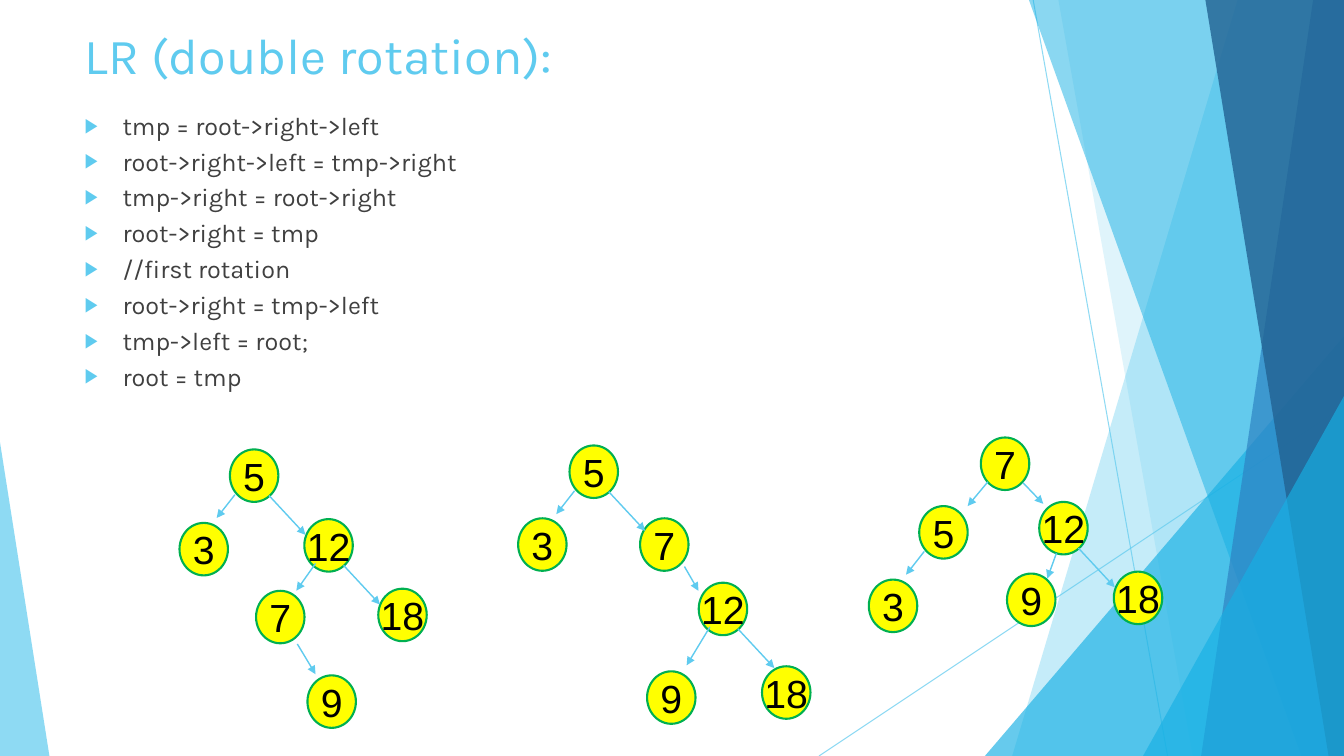
from dataclasses import dataclass

from lxml import etree
from pptx import Presentation
from pptx import util as u
from pptx.dml import color as dml
from pptx.enum import shapes, text
from pptx.oxml import ns

Pt = u.Pt


@dataclass(frozen=True)
class Theme:
    sky: str = "5FCBEF"
    aqua: str = "17B0E4"
    blue: str = "2E83C3"
    navy: str = "226292"
    ink: str = "404040"
    black: str = "000000"
    gold: str = "FFFF00"
    green: str = "00B050"
    face: str = "Karla"
    plain: str = "Arial"
    head: int = 36
    code: int = 18
    key: int = 28


T = Theme()
WIDE, HIGH = 960, 540
NODE = (34.6, 37.5)

CODE = [
    "tmp = root->right->left",
    "root->right->left = tmp->right",
    "tmp->right = root->right",
    "root->right = tmp",
    "//first rotation",
    "root->right = tmp->left",
    "tmp->left = root;",
    "root = tmp",
]

LEFT = (3.6, 32.4, -13, 16.6)
RIGHT = (28, 33, 26, 28)
TREES = [
    ((128.2, 321),
     {5: (36, 0), 3: (0, 52.5), 12: (89.2, 49.8), 18: (142, 99.5),
      7: (54.7, 101), 9: (91.4, 161.4)},
     [(5, RIGHT), (12, RIGHT), (12, (8, 31.7, -13.7, 19.4)), (5, LEFT),
      (7, (29.5, 38, 13, 21.6))]),
    ((370.1, 318.2),
     {5: (36.7, 0), 3: (0, 52), 12: (129, 98), 18: (174.2, 157.7),
      7: (87.1, 52), 9: (92.1, 161.3)},
     [(5, RIGHT), (12, RIGHT), (12, (8, 31.6, -16.6, 27.4)), (5, LEFT),
      (7, (31.7, 34.5, 10, 17.3))]),
    ((620.6, 312.5),
     {5: (36, 49), 3: (0, 101.5), 12: (121.7, 46), 18: (175, 95.8),
      7: (80, 0), 9: (98.7, 97.2)},
     [(12, RIGHT), (12, (12.3, 36.7, -6.5, 18)), (5, LEFT),
      (7, (30.2, 32.4, 14.4, 15)), (7, (5, 31.7, -14.4, 17.3))]),
]


def rgb(tone):
    return dml.RGBColor.from_string(tone)


def put(item, **form):
    for name, value in form.items():
        setattr(item, name, value)


def add(node, tag, **form):
    return etree.SubElement(node, ns.qn(tag), form)


def ink(font, face, size, tone):
    put(font, name=face, size=Pt(size))
    font.color.rgb = rgb(tone)


def fade(shape, alpha):
    for tone in shape._element.spPr.iter(ns.qn("a:srgbClr")):
        add(tone, "a:alpha", val=str(alpha * 1000))


def paint(shape, tone):
    shape.shadow.inherit = False
    shape.fill.solid()
    shape.fill.fore_color.rgb = rgb(tone)
    shape.line.fill.background()


def stroke(group, start, end, width):
    line = group.shapes.add_connector(
        shapes.MSO_CONNECTOR.STRAIGHT, *map(Pt, start + end))
    line.line.width = Pt(width)
    line.line.color.rgb = rgb(T.sky)
    add(line._element.spPr, "a:effectLst")
    return line


def slab(group, top, base, tone, alpha):
    pen = group.shapes.build_freeform(Pt(top), 0, scale=1)
    pen.add_line_segments(
        [(Pt(WIDE), 0), (Pt(WIDE), Pt(HIGH)), (Pt(base), Pt(HIGH))])
    shape = pen.convert_to_shape()
    paint(shape, tone)
    fade(shape, alpha)


def wedge(group, left, top, wide, peak, tone, alpha):
    shape = group.shapes.add_shape(
        shapes.MSO_SHAPE.ISOSCELES_TRIANGLE,
        *map(Pt, (left, top, wide, HIGH - top)))
    shape.adjustments[0] = peak
    paint(shape, tone)
    fade(shape, alpha)


def decor(slide):
    group = slide.shapes.add_group_shape()
    for start, end in [((738, 0), (834, HIGH)), ((WIDE, 290), (585, HIGH))]:
        fade(stroke(group, start, end, 0.75), 70)
    slab(group, 884, 723, T.sky, 36)
    slab(group, 756, 852, T.sky, 20)
    wedge(group, 703.5, 240, 256.5, 1, T.aqua, 66)
    slab(group, 735, 929.5, T.aqua, 50)
    slab(group, 938, 858, T.blue, 70)
    slab(group, 861, 949, T.navy, 80)
    wedge(group, 816.5, 283, 143.5, 1, T.aqua, 66)
    wedge(group, 0, 316, 35.3, 0, T.sky, 70)


def place(holder, box):
    put(holder, **dict(zip(("left", "top", "width", "height"), map(Pt, box))))
    put(holder.text_frame, word_wrap=True, auto_size=text.MSO_AUTO_SIZE.NONE,
        vertical_anchor=text.MSO_ANCHOR.TOP)
    return holder.text_frame


def title(slide, box):
    frame = place(slide.shapes.title, box)
    frame.text = "LR (double rotation):"
    para = frame.paragraphs[0]
    para.alignment = text.PP_ALIGN.LEFT
    ink(para.font, T.face, T.head, T.sky)


def listing(slide, box):
    frame = place(slide.placeholders[1], box)
    frame.text = "\n".join(CODE)
    for row, para in enumerate(frame.paragraphs):
        props = para._p.get_or_add_pPr()
        put_indent = {"marL": str(Pt(27)), "indent": str(-Pt(27))}
        for name, value in put_indent.items():
            props.set(name, value)
        add(add(props, "a:buClr"), "a:srgbClr", val=T.sky)
        add(props, "a:buSzPct", val="80000")
        add(props, "a:buFont", typeface=T.plain)
        add(props, "a:buChar", char="▶")
        put(para, space_before=Pt(4 if row else 0),
            alignment=text.PP_ALIGN.LEFT)
        ink(para.font, T.face, T.code, T.ink)


def node(group, key, left, top):
    ball = group.shapes.add_shape(
        shapes.MSO_SHAPE.OVAL, *map(Pt, (left, top) + NODE))
    paint(ball, T.gold)
    ball.line.color.rgb = rgb(T.green)
    ball.line.width = Pt(1.5)
    frame = ball.text_frame
    put(frame, margin_left=0, margin_right=0, margin_top=0, margin_bottom=0,
        word_wrap=False, vertical_anchor=text.MSO_ANCHOR.MIDDLE)
    frame.text = str(key)
    para = frame.paragraphs[0]
    para.alignment = text.PP_ALIGN.CENTER
    ink(para.font, T.plain, T.key, T.black)


def tree(slide, spot, nodes, edges):
    group = slide.shapes.add_group_shape()
    left, top = spot
    for key, (x, y) in nodes.items():
        node(group, key, left + x, top + y)
    for key, (x, y, run, drop) in edges:
        x += left + nodes[key][0]
        y += top + nodes[key][1]
        line = stroke(group, (x, y), (x + run, y + drop), 1)
        add(line.line._get_or_add_ln(), "a:tailEnd", type="triangle")


def main():
    deck = Presentation()
    put(deck, slide_width=Pt(WIDE), slide_height=Pt(HIGH))
    slide = deck.slides.add_slide(deck.slide_layouts[1])
    decor(slide)
    title(slide, (53.3, 13.7, 677, 61))
    listing(slide, (53.3, 75, 677, 344))
    for spot, nodes, edges in TREES:
        tree(slide, spot, nodes, edges)
    deck.save("out.pptx")


if __name__ == "__main__":
    main()
